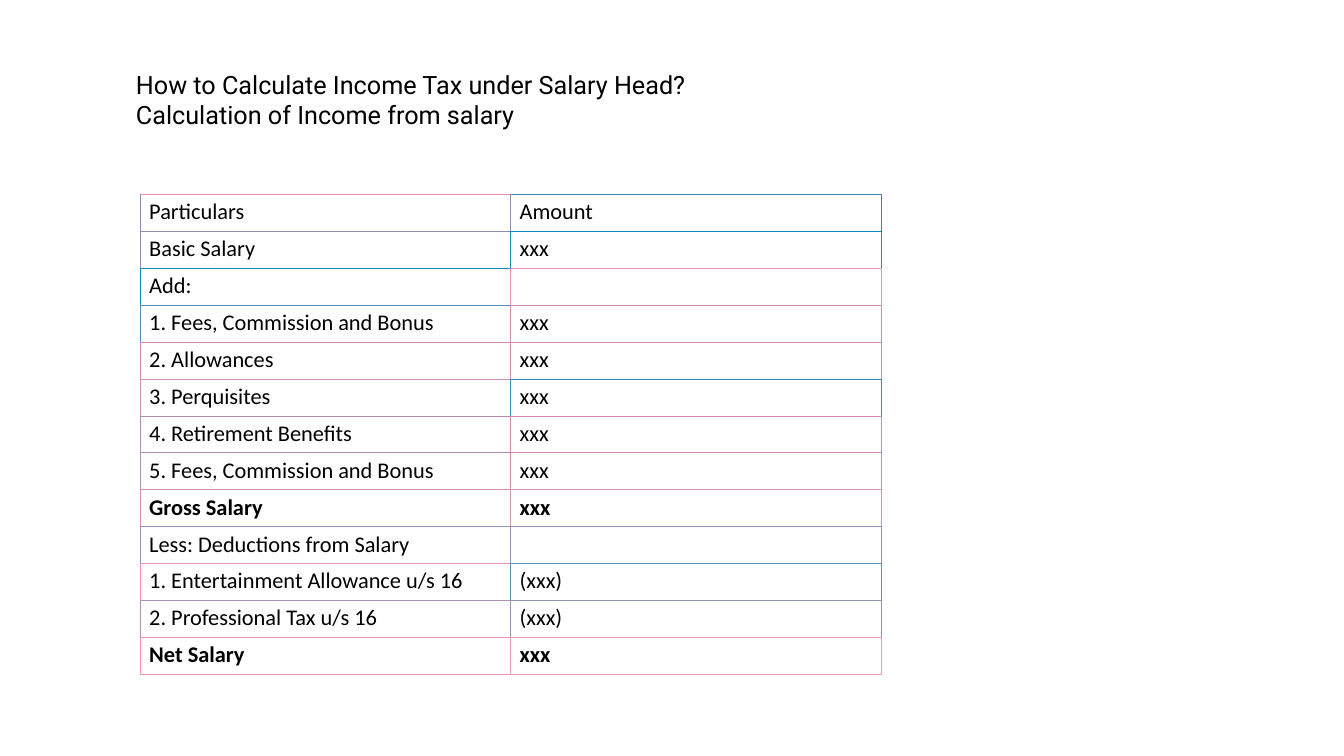
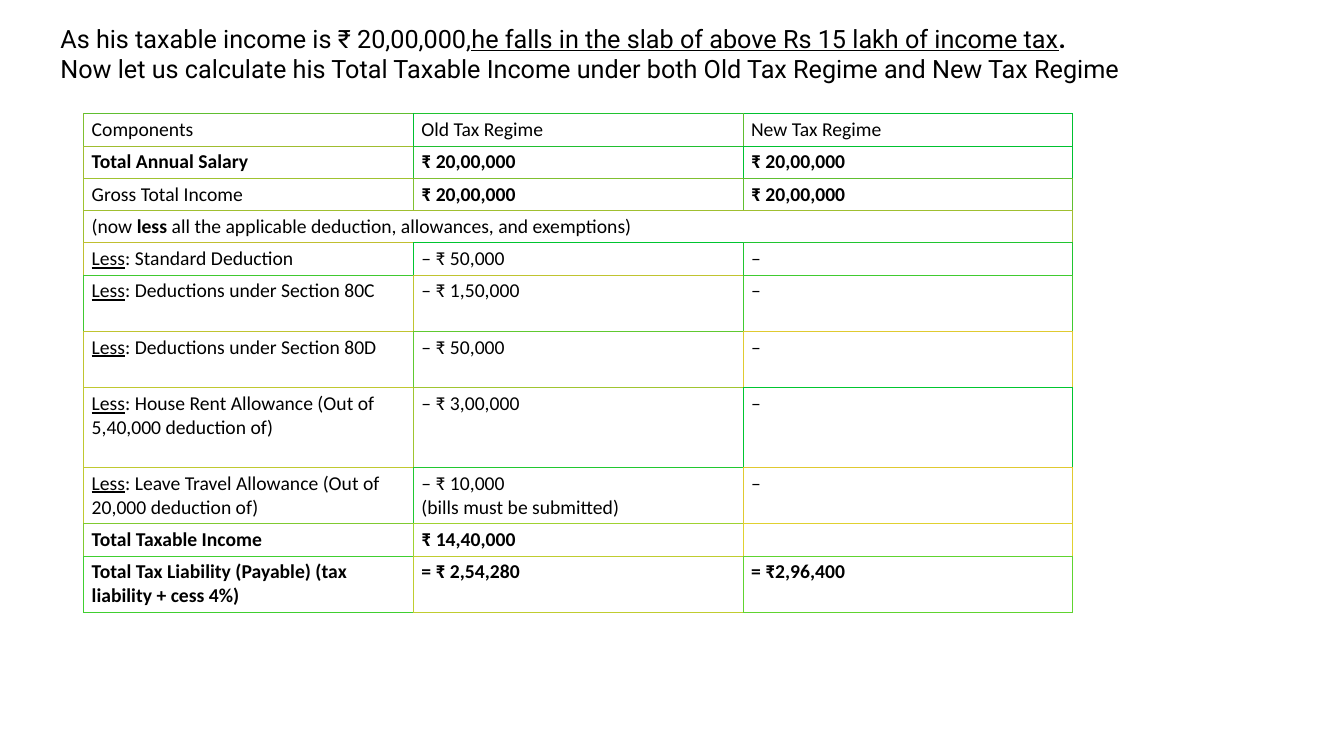
from dataclasses import dataclass
from typing import NamedTuple

from lxml import etree
from pptx import Presentation
from pptx.dml.color import RGBColor
from pptx.enum.text import MSO_AUTO_SIZE
from pptx.oxml.ns import qn
from pptx.util import Inches, Pt

# Shared style
BLACK = RGBColor(0x00, 0x00, 0x00)
WHITE = RGBColor(0xFF, 0xFF, 0xFF)
TITLE_FONT, TITLE_SIZE = "Roboto", 18
TABLE_FONT = "Calibri"
BORDER_WIDTH = Pt(0.75)
GROW = MSO_AUTO_SIZE.SHAPE_TO_FIT_TEXT
BLANK_LAYOUT = 6


class Span(NamedTuple):
    text: str
    bold: bool = False
    underline: bool = False


Line = tuple[Span, ...]
Cell = tuple[Line, ...]


@dataclass(frozen=True)
class TableRow:
    cells: tuple[Cell, ...]
    height: float


@dataclass(frozen=True)
class TableDesign:
    left: float
    top: float
    column_width: float
    columns: int
    inset: float
    font_size: int
    rows: tuple[TableRow, ...]
    edges: tuple[tuple[RGBColor, ...], ...]  # left and top colour of each cell
    header_tops: tuple[RGBColor, ...]


@dataclass(frozen=True)
class TitleDesign:
    left: float
    top: float
    width: float
    lines: tuple[Line, ...]


def palette(codes: str) -> tuple[RGBColor, ...]:
    return tuple(RGBColor.from_string(code) for code in codes.split())


def plain(*texts: str) -> Cell:
    return tuple((Span(text),) for text in texts)


def strong(text: str) -> Cell:
    return ((Span(text, bold=True),),)


def less(text: str) -> Cell:
    return ((Span("Less", underline=True), Span(": " + text)),)


def entry(label: str, amount: str, bold: bool = False) -> TableRow:
    style = strong if bold else plain
    return TableRow((style(label), style(amount)), SALARY_ROW)


# Salary slide
SALARY_ROW = 4.76 / 13
SALARY_TITLE = TitleDesign(1.25, 0.64, 7.48, plain(
    "How to Calculate Income Tax under Salary Head?",
    "Calculation of Income from salary",
))
SALARY_TABLE = TableDesign(
    left=1.39, top=1.93, column_width=3.675, columns=2, inset=0.09, font_size=16,
    rows=(
        entry("Particulars", "Amount"),
        entry("Basic Salary", "xxx"),
        entry("Add:", ""),
        entry("1. Fees, Commission and Bonus", "xxx"),
        entry("2. Allowances", "xxx"),
        entry("3. Perquisites", "xxx"),
        entry("4. Retirement Benefits", "xxx"),
        entry("5. Fees, Commission and Bonus", "xxx"),
        entry("Gross Salary", "xxx", bold=True),
        entry("Less: Deductions from Salary", ""),
        entry("1. Entertainment Allowance u/s 16", "(xxx)"),
        entry("2. Professional Tax u/s 16", "(xxx)"),
        entry("Net Salary", "xxx", bold=True),
    ),
    edges=tuple(map(palette, (
        "9089B4 908CB4", "908CB4 108CB4", "108CB4 F08EB4", "508EB4 D089B4",
        "D089B4 D08BB4", "D08FB4 308DB4", "B08BB4 D089B4", "B08DB4 D089B4",
        "D08EB4 D094B4", "9093B4 9094B4", "F092B4 5098B4", "B090B4 9094B4",
        "F092B4 F095B4",
    ))),
    header_tops=palette("F089B4 308AB4"),
)

# Tax regime slide
SINGLE, DOUBLE, TRIPLE = 0.32, 0.56, 0.79
REGIME_TITLE = TitleDesign(0.5, 0.18, 12.28, (
    (
        Span("As his taxable income is ₹ 20,00,000,"),
        Span("he falls in the slab of above Rs 15 lakh of income tax", underline=True),
        Span(".", bold=True),
    ),
    (Span("Now let us calculate his Total Taxable Income under both "
          "Old Tax Regime and New Tax Regime"),),
))
FULL_SALARY = strong("₹ 20,00,000")
DASH = plain("–")
REGIME_TABLE = TableDesign(
    left=0.83, top=1.13, column_width=3.27, columns=3, inset=0.08, font_size=14,
    rows=(
        TableRow((plain("Components"), plain("Old Tax Regime"), plain("New Tax Regime")), SINGLE),
        TableRow((strong("Total Annual Salary"), FULL_SALARY, FULL_SALARY), SINGLE),
        TableRow((plain("Gross Total Income"), FULL_SALARY, FULL_SALARY), SINGLE),
        TableRow((((
            Span("(now "),
            Span("less ", bold=True),
            Span("all the applicable deduction, allowances, and exemptions)"),
        ),),), SINGLE),
        TableRow((less("Standard Deduction"), plain("– ₹ 50,000"), DASH), SINGLE),
        TableRow((less("Deductions under Section 80C"), plain("– ₹ 1,50,000"), DASH), DOUBLE),
        TableRow((less("Deductions under Section 80D"), plain("– ₹ 50,000"), DASH), DOUBLE),
        TableRow((less("House Rent Allowance (Out of 5,40,000 deduction of)"),
                  plain("– ₹ 3,00,000"), DASH), TRIPLE),
        TableRow((less("Leave Travel Allowance (Out of 20,000 deduction of)"),
                  plain("– ₹ 10,000", "(bills must be submitted)"), DASH), DOUBLE),
        TableRow((strong("Total Taxable Income"), strong("₹ 14,40,000"), plain("")), SINGLE),
        TableRow((strong("Total Tax Liability (Payable) (tax liability + cess 4%)"),
                  strong("= ₹ 2,54,280"), strong("= ₹2,96,400")), DOUBLE),
    ),
    edges=tuple(map(palette, (
        "80BF30 00BF30 60BD30", "A0BD30 20BF30 00C230", "A0C330 80C030 60BF30",
        "A0BF30 A0BF30 A0BF30", "C0BF30 00C530 20C530", "40C930 C0C430 40CB30",
        "C0C430 60C930 E0CA30", "C0C830 A0C530 00C630", "C0C930 20C830 E0C930",
        "80CA30 A0D230 E0D130", "40CF30 C0CD30 60D430",
    ))),
    header_tops=palette("60BE30 20C330 00C130"),
)


def write_lines(frame, lines: tuple[Line, ...], font: str, size: int) -> None:
    for index, line in enumerate(lines):
        para = frame.paragraphs[0] if index == 0 else frame.add_paragraph()
        for span in line:
            if not span.text:
                # An empty cell keeps the table's text size
                end = etree.SubElement(para._p, qn("a:endParaRPr"))
                end.set("sz", str(size * 100))
                continue
            run = para.add_run()
            run.text = span.text
            run.font.name = font
            run.font.size = Pt(size)
            run.font.bold = span.bold
            run.font.underline = span.underline
            run.font.color.rgb = BLACK


def set_borders(cell, left: RGBColor, right: RGBColor, top: RGBColor, bottom: RGBColor) -> None:
    properties = cell._tc.get_or_add_tcPr()
    sides = (("a:lnL", left), ("a:lnR", right), ("a:lnT", top), ("a:lnB", bottom))
    for position, (tag, color) in enumerate(sides):
        border = etree.Element(qn(tag), w=str(int(BORDER_WIDTH)))
        fill = etree.SubElement(border, qn("a:solidFill"))
        etree.SubElement(fill, qn("a:srgbClr"), val=str(color))
        properties.insert(position, border)


def add_title(page, title: TitleDesign) -> None:
    box = page.shapes.add_textbox(
        Inches(title.left), Inches(title.top), Inches(title.width), Inches(0.71))
    box.text_frame.word_wrap = True
    box.text_frame.auto_size = GROW
    write_lines(box.text_frame, title.lines, TITLE_FONT, TITLE_SIZE)


def add_table(page, design: TableDesign) -> None:
    row_count = len(design.rows)
    table = page.shapes.add_table(
        row_count, design.columns, Inches(design.left), Inches(design.top),
        Inches(design.column_width * design.columns),
        Inches(sum(row.height for row in design.rows))).table
    table.first_row = table.horz_banding = False
    for column in table.columns:
        column.width = Inches(design.column_width)

    for r, row in enumerate(design.rows):
        table.rows[r].height = Inches(row.height)
        for c in range(design.columns):
            cell = table.cell(r, c)
            cell.margin_left = cell.margin_right = Inches(design.inset)
            cell.margin_top = cell.margin_bottom = Inches(0.04)
            cell.fill.solid()
            cell.fill.fore_color.rgb = WHITE
            # Each cell shares its right and bottom edges with its neighbours
            own = design.edges[r][c]
            top = design.header_tops[c] if r == 0 else own
            right = design.edges[r][c + 1] if c + 1 < design.columns else top
            bottom = design.edges[r + 1][c] if r + 1 < row_count else own
            set_borders(cell, own, right, top, bottom)
        # A row with one entry spans the table
        if len(row.cells) == 1:
            table.cell(r, 0).merge(table.cell(r, design.columns - 1))
        for c, lines in enumerate(row.cells):
            write_lines(table.cell(r, c).text_frame, lines, TABLE_FONT, design.font_size)


def main() -> None:
    deck = Presentation()
    deck.slide_width, deck.slide_height = Inches(13.33), Inches(7.5)
    for title, table in ((SALARY_TITLE, SALARY_TABLE), (REGIME_TITLE, REGIME_TABLE)):
        page = deck.slides.add_slide(deck.slide_layouts[BLANK_LAYOUT])
        add_title(page, title)
        add_table(page, table)
    deck.save("out.pptx")


if __name__ == "__main__":
    main()
